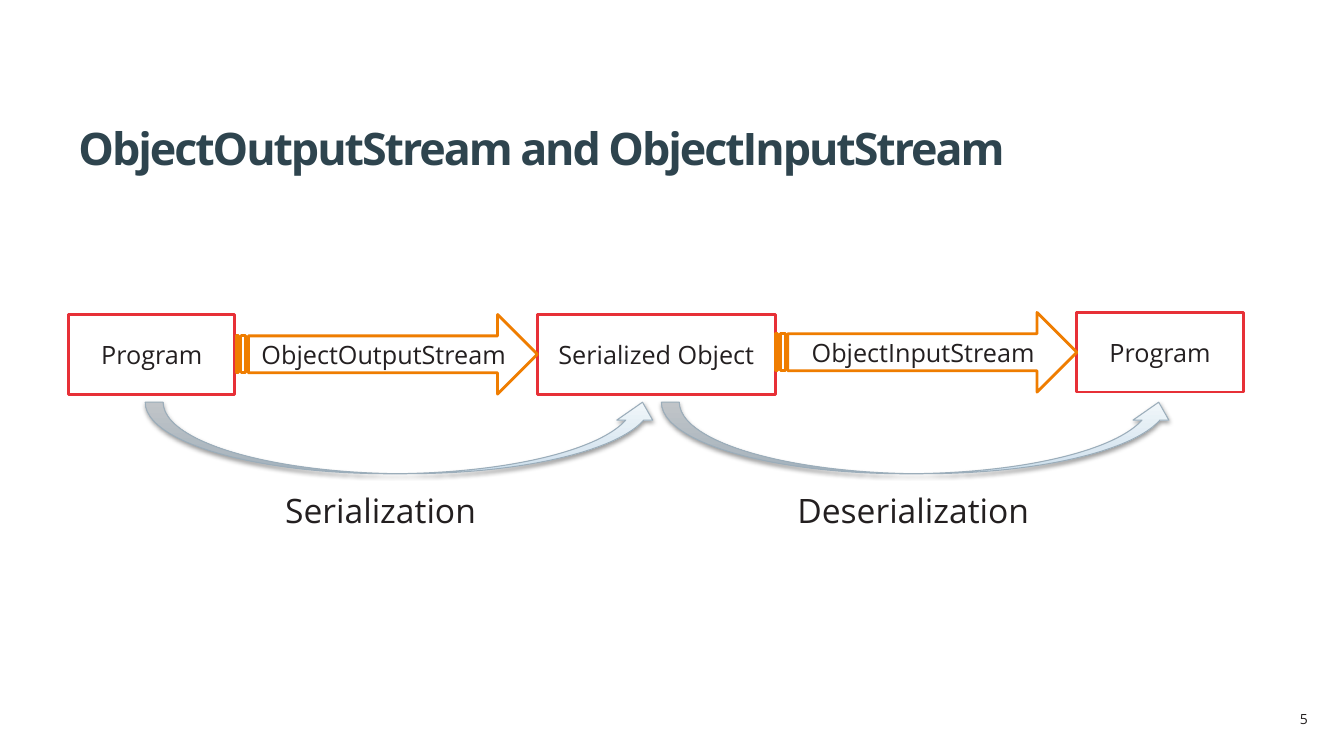
from pptx import Presentation
from pptx.dml.color import RGBColor
from pptx.enum.shapes import MSO_SHAPE
from pptx.enum.text import MSO_ANCHOR, PP_ALIGN
from pptx.oxml import parse_xml
from pptx.oxml.ns import nsdecls
from pptx.util import Inches, Pt

RECT = MSO_SHAPE.RECTANGLE
STRIPED_ARROW = MSO_SHAPE.STRIPED_RIGHT_ARROW
CURVED_ARROW = MSO_SHAPE.CURVED_UP_ARROW
LEFT, CENTER, RIGHT = PP_ALIGN.LEFT, PP_ALIGN.CENTER, PP_ALIGN.RIGHT
TOP, MIDDLE, BOTTOM = MSO_ANCHOR.TOP, MSO_ANCHOR.MIDDLE, MSO_ANCHOR.BOTTOM

FONT = "Open Sans"
WHITE = RGBColor(0xFF, 0xFF, 0xFF)
INK = RGBColor(0x23, 0x1F, 0x20)
SLATE = RGBColor(0x2E, 0x44, 0x4E)
RED = RGBColor(0xE7, 0x30, 0x37)
ORANGE = RGBColor(0xEF, 0x7D, 0x00)
STEEL = RGBColor(0x9B, 0xAD, 0xBA)
GRADIENT = (
    (0, RGBColor(0xCB, 0xDE, 0xEC)),
    (35, RGBColor(0xDA, 0xE7, 0xF1)),
    (100, RGBColor(0xF0, 0xF6, 0xFA)),
)
BOX_HEIGHT = 0.79


def write(sp, text, size, align, anchor, color=INK):
    tf = sp.text_frame
    tf.word_wrap = True
    tf.vertical_anchor = anchor
    p = tf.paragraphs[0]
    p.text = text
    p.alignment = align
    p.font.name = FONT
    p.font.size = Pt(size)
    p.font.color.rgb = color
    return p


def add_text(s, box, text, size, align=LEFT, anchor=TOP, color=INK):
    sp = s.shapes.add_textbox(*map(Inches, box))
    return write(sp, text, size, align, anchor, color)


def add_title(s, text):
    p = add_text(s, (0.68, 0.76, 11.86, 1.02), text, 32, anchor=BOTTOM, color=SLATE)
    p.font.bold = True
    for r in p.runs:
        r.font._element.set("spc", "-150")


def add_outlined(s, kind, left, top, width, text, color):
    sp = s.shapes.add_shape(kind, *map(Inches, (left, top, width, BOX_HEIGHT)))
    sp.shadow.inherit = False
    sp.fill.solid()
    sp.fill.fore_color.rgb = WHITE
    sp.line.color.rgb = color
    sp.line.width = Pt(2)
    write(sp, text, 18, CENTER, MIDDLE)
    return sp


def add_stream_arrow(s, left, top, text):
    sp = add_outlined(s, STRIPED_ARROW, left, top, 2.99, text, ORANGE)
    sp.adjustments[0] = 0.463
    sp.adjustments[1] = 0.5


def add_curved_arrow(s, left):
    sp = s.shapes.add_shape(CURVED_ARROW, *map(Inches, (left, 3.99, 5.11, 0.71)))
    sp.line.color.rgb = STEEL
    sp.line.width = Pt(0.75)
    sp.shadow.inherit = False
    stops = "".join(
        f'<a:gs pos="{pos * 1000}"><a:srgbClr val="{color}"/></a:gs>'
        for pos, color in GRADIENT
    )
    spPr = sp._element.spPr
    spPr.insert(2, parse_xml(
        f'<a:gradFill {nsdecls("a")} rotWithShape="1"><a:gsLst>{stops}</a:gsLst>'
        '<a:lin ang="16200000" scaled="0"/></a:gradFill>'
    ))
    spPr[-1].append(parse_xml(
        f'<a:outerShdw {nsdecls("a")} blurRad="{Pt(3.1)}" dist="{Pt(1.6)}" '
        'dir="5400000" rotWithShape="0"><a:srgbClr val="000000">'
        '<a:alpha val="38000"/></a:srgbClr></a:outerShdw>'
    ))


def main():
    prs = Presentation()
    prs.slide_width = Inches(13.33)
    prs.slide_height = Inches(7.5)
    s = prs.slides.add_slide(prs.slide_layouts[6])

    add_text(s, (12.02, 7, 1.05, 0.27), "5", 10, RIGHT)
    add_title(s, "ObjectOutputStream and ObjectInputStream")

    for left, top, width, text in (
        (0.68, 3.12, 1.65, "Program"),
        (5.33, 3.12, 2.36, "Serialized Object"),
        (10.68, 3.1, 1.65, "Program"),
    ):
        add_outlined(s, RECT, left, top, width, text, RED)

    add_stream_arrow(s, 2.34, 3.12, "ObjectOutputStream")
    add_stream_arrow(s, 7.69, 3.1, "ObjectInputStream")

    for left in (1.44, 6.56):
        add_curved_arrow(s, left)

    add_text(s, (2.73, 4.81, 2.2, 0.5), "Serialization", 24)
    add_text(s, (7.81, 4.81, 2.76, 0.5), "Deserialization", 24)

    prs.save("out.pptx")


if __name__ == "__main__":
    main()
